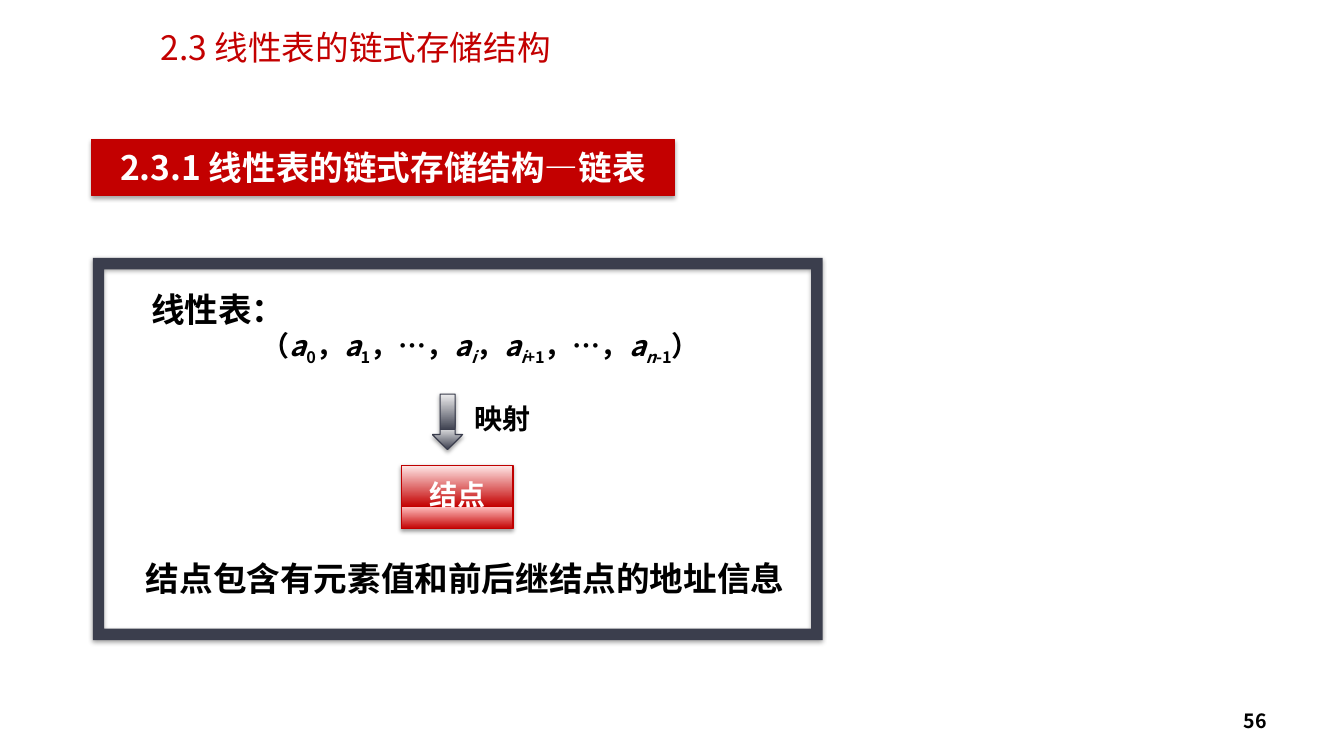
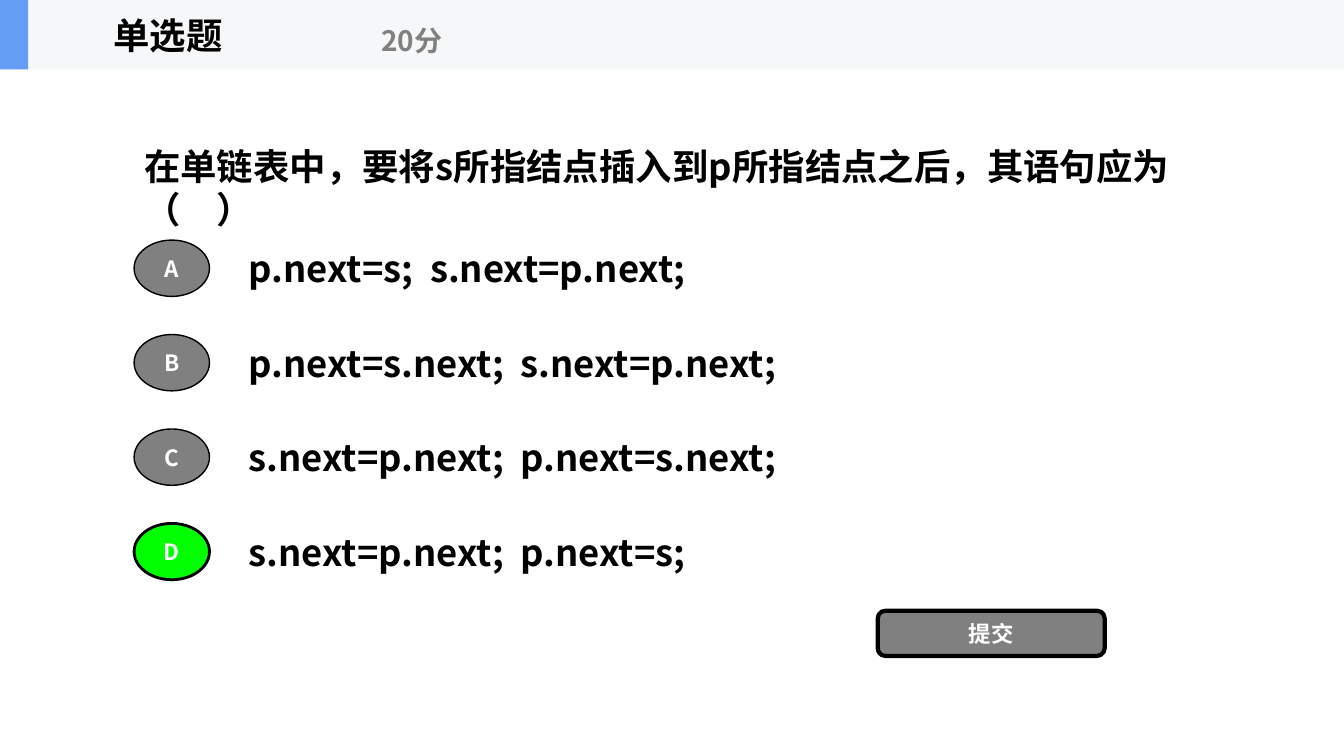
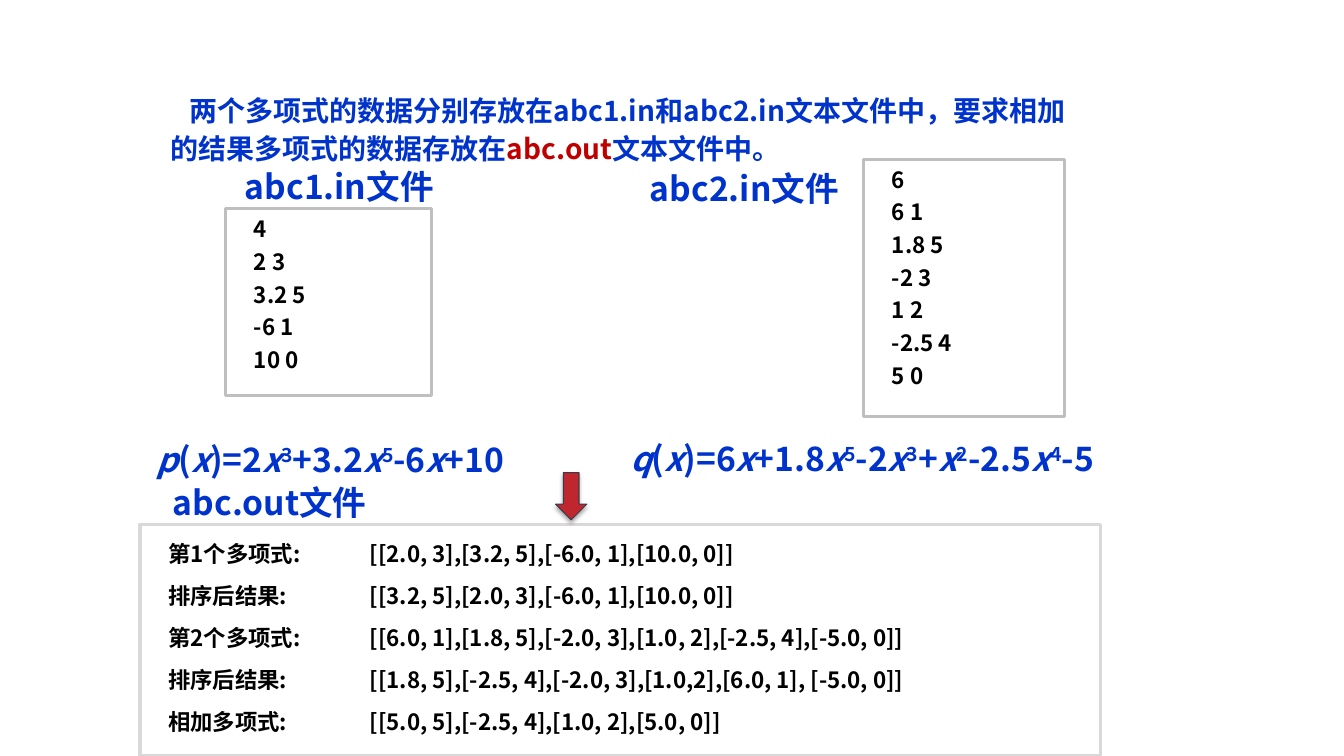
from lxml.etree import SubElement
from pptx import Presentation
from pptx.dml.color import RGBColor
from pptx.enum.shapes import MSO_SHAPE as SHAPE
from pptx.enum.text import MSO_ANCHOR as ANCHOR, PP_ALIGN as ALIGN
from pptx.oxml.ns import qn
from pptx.util import Cm, Pt

FONT = "Noto Sans CJK SC"
BLACK = RGBColor(0x00, 0x00, 0x00)
WHITE = RGBColor(0xFF, 0xFF, 0xFF)
RED = RGBColor(0xC3, 0x00, 0x00)
DARK_RED = RGBColor(0xBF, 0x00, 0x00)
FILE_RED = RGBColor(0xC0, 0x00, 0x00)
ARROW_RED = RGBColor(0xC0, 0x26, 0x2E)
BLUE = RGBColor(0x00, 0x33, 0xCC)
ACCENT_BLUE = RGBColor(0x63, 0x9E, 0xF4)
SLATE = RGBColor(0x3B, 0x3E, 0x4D)
SLATE_EDGE = RGBColor(0x39, 0x3C, 0x4C)
GRAY = RGBColor(0x80, 0x80, 0x80)
SILVER = RGBColor(0xBF, 0xBF, 0xBF)
PALE_GRAY = RGBColor(0xD9, 0xD9, 0xD9)
BAR_GRAY = RGBColor(0xF6, 0xF7, 0xF8)
GREEN = RGBColor(0x00, 0xFF, 0x00)

SLATE_FADE = [(0, SLATE), (35, RGBColor(0xD1, 0xD2, 0xD5)),
              (35, SLATE), (100, RGBColor(0xEE, 0xEE, 0xEF))]
RED_FADE = [(0, RED), (35, RGBColor(0xFF, 0xBD, 0xBD)),
            (35, RED), (100, RGBColor(0xFF, 0xE6, 0xE6))]
BASELINES = {"_": "-25000", "^": "30000"}
PAD = (0.25, 0.13, 0.25, 0.13)
FILE_PAD = (0.71, 0.3, 0.25, 0.3)
LABEL = dict(align=ALIGN.CENTER, anchor=ANCHOR.MIDDLE, color=WHITE)


def formula(markup):
    runs, active, chars = [], set(), ""
    for char in markup + "*":
        if char not in "*_^":
            chars += char
            continue
        if chars:
            baseline = next((BASELINES[m] for m in active if m in BASELINES), None)
            runs.append((chars, {"italic": "*" in active, "baseline": baseline}))
            chars = ""
        active ^= {char}
    return runs


class Deck:
    def __init__(self):
        self.show = Presentation()
        self.show.slide_width, self.show.slide_height = Cm(33.87), Cm(19.05)
        self.slide = None

    def new_slide(self):
        self.slide = self.show.slides.add_slide(self.show.slide_layouts[6])

    def fill_text(self, holder, paragraphs, size, color=BLACK, bold=True, align=ALIGN.LEFT,
                  anchor=ANCHOR.TOP, wrap=True, pad=PAD, spacing=None, before=0,
                  indent=None, tab=None):
        frame = holder.text_frame
        left, top, right, bottom = map(Cm, pad)
        frame_format = dict(word_wrap=wrap, vertical_anchor=anchor, margin_left=left,
                            margin_top=top, margin_right=right, margin_bottom=bottom)
        for name, value in frame_format.items():
            setattr(frame, name, value)
        for index, runs in enumerate(paragraphs):
            paragraph = frame.add_paragraph() if index else frame.paragraphs[0]
            properties = paragraph._p.get_or_add_pPr()
            if indent:
                properties.set("indent", str(Cm(indent)))
            if tab:
                stops = SubElement(properties, qn("a:tabLst"))
                SubElement(stops, qn("a:tab"), pos=str(Cm(tab)), algn="l")
            layout = dict(alignment=align, line_spacing=spacing,
                          space_before=Pt(before if index else 0))
            for name, value in layout.items():
                setattr(paragraph, name, value)
            for words, changes in [(runs, {})] if isinstance(runs, str) else runs:
                run = paragraph.add_run()
                run.text = words
                style = dict(name=FONT, size=Pt(size), bold=bold,
                             italic=changes.get("italic", False))
                for name, value in style.items():
                    setattr(run.font, name, value)
                run.font.color.rgb = changes.get("color", color)
                run_properties = run._r.get_or_add_rPr()
                SubElement(run_properties, qn("a:ea"), typeface=FONT)
                if changes.get("baseline"):
                    run_properties.set("baseline", changes["baseline"])

    def text(self, box, words, size, **style):
        holder = self.slide.shapes.add_textbox(*map(Cm, box))
        self.fill_text(holder, [words], size, **style)

    def shape(self, kind, box, fill, line=None, shadow=None, adjust=None):
        shape = self.slide.shapes.add_shape(kind, *map(Cm, box))
        shape.shadow.inherit = False
        if adjust is not None:
            shape.adjustments[0] = adjust
        if isinstance(fill, list):
            self.fade(shape, fill)
        else:
            shape.fill.solid()
            shape.fill.fore_color.rgb = fill
        if line:
            shape.line.color.rgb, shape.line.width = line[0], Pt(line[1])
        else:
            shape.line.fill.background()
        if shadow:
            opacity, distance = shadow
            effects = shape._element.spPr.find(qn("a:effectLst"))
            outer = SubElement(effects, qn("a:outerShdw"), blurRad=str(Pt(3.1)),
                               dist=str(Pt(distance)), dir="5400000", rotWithShape="0")
            tint = SubElement(outer, qn("a:srgbClr"), val=str(BLACK))
            SubElement(tint, qn("a:alpha"), val=str(opacity * 1000))
        return shape

    def fade(self, shape, stops):
        shape.fill.gradient()
        shape.fill.gradient_angle = 90
        stop_list = shape._element.spPr.find(".//" + qn("a:gsLst"))
        for old in list(stop_list):
            stop_list.remove(old)
        for position, color in stops:
            stop = SubElement(stop_list, qn("a:gs"), pos=str(position * 1000))
            SubElement(stop, qn("a:srgbClr"), val=str(color))

    def data_page(self, box, lines, border, **style):
        page = self.shape(SHAPE.RECTANGLE, box, WHITE, border)
        self.fill_text(page, lines, 16, pad=FILE_PAD, before=8, **style)


def linked_list(deck):
    deck.new_slide()
    heading = deck.shape(SHAPE.RECTANGLE, (2.31, 3.51, 14.68, 1.42), RED,
                         (DARK_RED, 0.75), (35, 1.8))
    deck.fill_text(heading, ["2.3.1 线性表的链式存储结构—链表"], 24, color=WHITE,
                   align=ALIGN.CENTER, pad=(0.25, 0.2, 0.25, 0.2))
    deck.text((3.56, 7.16, 4.62, 1.27), "线性表：", 24)
    deck.text((6.35, 8.15, 13.59, 1.12),
              formula("（*a*_0_，*a*_1_，…，*a_i_*，*a_i*+1_，…，*a_n*-1_）"), 20)
    deck.text((3.43, 13.92, 17.3, 1.27), "结点包含有元素值和前后继结点的地址信息", 24)
    deck.shape(SHAPE.DOWN_ARROW, (10.9, 9.93, 0.76, 1.4), SLATE_FADE,
               (SLATE_EDGE, 0.75), (38, 1.6))
    node = deck.shape(SHAPE.RECTANGLE, (10.11, 11.73, 2.82, 1.6), RED_FADE,
                      (DARK_RED, 0.75), (38, 1.6))
    deck.fill_text(node, ["结点"], 20, spacing=0.8, **LABEL)
    deck.text((11.71, 9.98, 3.07, 1.12), "映射", 20)
    deck.text((24.28, 17.65, 7.9, 1.02), "56", 14, align=ALIGN.RIGHT, anchor=ANCHOR.MIDDLE)
    deck.shape(SHAPE.FRAME, (2.34, 6.5, 18.39, 9.63), SLATE, shadow=(38, 1.6), adjust=0.03)
    deck.text((2.26, 0.74, 13.41, 1.07), "2.3 线性表的链式存储结构", 24, color=RED,
              bold=False, align=ALIGN.CENTER, spacing=0.8)


def quiz(deck):
    deck.new_slide()
    deck.text((3.38, 1.75, 27.1, 5.94),
              "在单链表中，要将s所指结点插入到p所指结点之后，其语句应为（　）", 26,
              anchor=ANCHOR.MIDDLE)
    answers = ["p.next=s;  s.next=p.next;", "p.next=s.next;  s.next=p.next;",
               "s.next=p.next;  p.next=s.next;", "s.next=p.next;  p.next=s;"]
    correct = "D"
    for row, (letter, answer) in enumerate(zip("ABCD", answers)):
        drop = row * 2.38
        deck.text((6.02, 5.87 + drop, 23.7, 1.78), answer, 26, anchor=ANCHOR.MIDDLE)
        fill, width = (GREEN, 2) if letter == correct else (GRAY, 1)
        choice = deck.shape(SHAPE.OVAL, (3.38, 6.05 + drop, 1.9, 1.42), fill, (BLACK, width))
        deck.fill_text(choice, [letter], 16, **LABEL)
    submit = deck.shape(SHAPE.ROUNDED_RECTANGLE, (22.12, 15.39, 5.72, 1.14), GRAY,
                        (BLACK, 3), adjust=0.17)
    deck.fill_text(submit, ["提交"], 16, **LABEL)
    for width, color in [(33.87, BAR_GRAY), (0.71, ACCENT_BLUE)]:
        deck.shape(SHAPE.RECTANGLE, (0, 0, width, 1.75), color)
    bar_text = dict(LABEL, wrap=False)
    deck.text((0.71, 0, 7.06, 1.75), "单选题", 26, **dict(bar_text, color=BLACK))
    deck.text((6.15, 0.3, 8.46, 1.42), "20分", 20, **dict(bar_text, color=GRAY))


def polynomials(deck):
    deck.new_slide()
    results = [("第1个多项式:", "[[2.0, 3],[3.2, 5],[-6.0, 1],[10.0, 0]]"),
               ("排序后结果:", "[[3.2, 5],[2.0, 3],[-6.0, 1],[10.0, 0]]"),
               ("第2个多项式:", "[[6.0, 1],[1.8, 5],[-2.0, 3],[1.0, 2],[-2.5, 4],[-5.0, 0]]"),
               ("排序后结果:", "[[1.8, 5],[-2.5, 4],[-2.0, 3],[1.0,2],[6.0, 1], [-5.0, 0]]"),
               ("相加多项式:", "[[5.0, 5],[-2.5, 4],[1.0, 2],[5.0, 0]]")]
    deck.data_page((3.53, 13.21, 24.21, 5.84), ["\t".join(result) for result in results],
                   (PALE_GRAY, 2.25), spacing=Pt(22), tab=5.08)
    deck.text((4.04, 2.13, 23.22, 2.18),
              [("两个多项式的数据分别存放在abc1.in和abc2.in文本文件中，"
                "要求相加的结果多项式的数据存放在", {}),
               ("abc.out", {"color": FILE_RED}), ("文本文件中。", {})],
              20, color=BLUE, spacing=Pt(27), indent=0.48)
    inputs = [((5.69, 5.26, 5.18, 4.7), ["4", "2 3", "3.2 5", "-6 1", "10 0"]),
              ((21.77, 4.01, 5.05, 6.48),
               ["6", "6 1", "1.8 5", "-2 3", "1 2", "-2.5 4", "5 0"])]
    for box, lines in inputs:
        deck.data_page(box, lines, (SILVER, 2), spacing=0.8)
    names = [((5.92, 4.04, 6.15, 1.02), "abc1.in文件"),
             ((16.13, 4.09, 6.15, 1.02), "abc2.in文件"),
             ((4.11, 12.01, 7.77, 1.27), "abc.out文件")]
    for box, name in names:
        deck.text(box, name, 24, color=BLUE)
    equations = [((2.87, 10.92, 10.92, 1.27), "*p*(*x*)=2*x*^3^+3.2*x*^5^-6*x*+10"),
                 ((14.4, 10.9, 14.66, 1.27),
                  "*q*(*x*)=6*x*+1.8*x*^5^-2*x*^3^+*x*^2^-2.5*x*^4^-5")]
    for box, equation in equations:
        deck.text(box, formula(equation), 24, color=BLUE, align=ALIGN.CENTER)
    deck.shape(SHAPE.DOWN_ARROW, (14, 11.91, 0.79, 1.19), ARROW_RED,
               (SLATE_EDGE, 0.75), (35, 1.8))


def main():
    deck = Deck()
    for build in (linked_list, quiz, polynomials):
        build(deck)
    deck.show.save("out.pptx")


if __name__ == "__main__":
    main()
